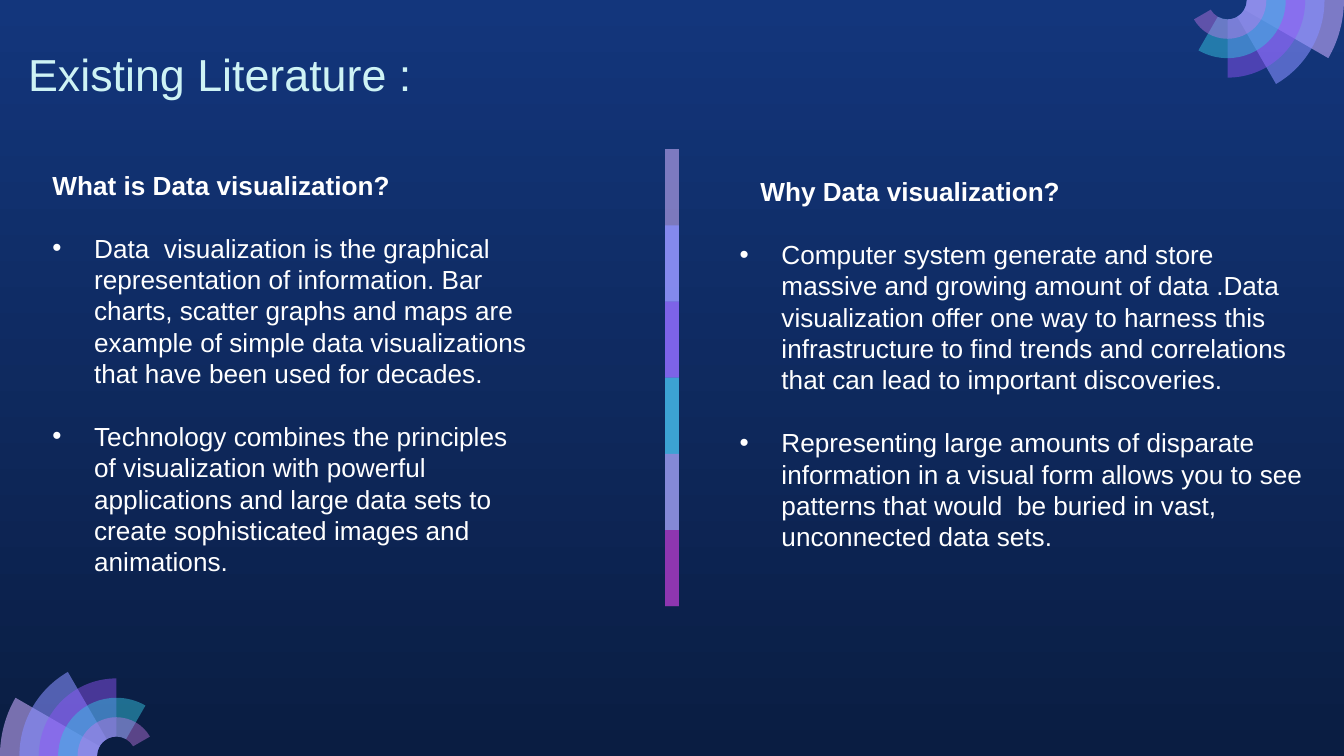
from math import ceil, cos, radians, sin, tan

from lxml.etree import SubElement
from pptx import Presentation
from pptx.dml.color import RGBColor
from pptx.enum.shapes import MSO_SHAPE as Preset
from pptx.enum.text import MSO_ANCHOR as Anchor, PP_ALIGN as Align
from pptx.oxml.ns import qn
from pptx.util import Cm, Pt

COLORS = {
    "sky": "13367C", "night": "0A1D42", "white": "FFFFFF", "ice": "CEF3F5",
    "lilac": "C8AEF8", "mauve": "C8ACFD", "periwinkle": "878FFF",
    "violet": "9154F8", "cyan": "35C2DF", "orchid": "CA7BEB", "purple": "972CB4",
}
FONT = "Arial"
WIDTH, HEIGHT = 25.4, 14.29

# Colour and opacity in percent, top to bottom and outside to inside
DIVIDER = [("lilac", 59), ("periwinkle", 74), ("violet", 53),
           ("cyan", 76), ("orchid", 56), ("purple", 74)]
FAN = [("mauve", 58), ("periwinkle", 58), ("violet", 46), ("cyan", 49), ("orchid", 42)]
FAN_RADIUS = 2.2

WHAT = ("What is Data visualization?", [
    "Data  visualization is the graphical representation of information. Bar charts, "
    "scatter graphs and maps are example of simple data visualizations that have been "
    "used for decades.",
    "Technology combines the principles of visualization with powerful applications and "
    "large data sets to create sophisticated images and animations.",
])
WHY = ("Why Data visualization?", [
    "Computer system generate and store massive and growing amount of data .Data "
    "visualization offer one way to harness this infrastructure to find trends and "
    "correlations that can lead to important discoveries.",
    "Representing large amounts of disparate information in a visual form allows you to "
    "see patterns that would  be buried in vast, unconnected data sets.",
])


def rgb(name):
    return RGBColor.from_string(COLORS[name])


def paint(shape, color, opacity):
    """Give a shape a translucent fill without outline or shadow."""
    shape.shadow.inherit = False
    shape.line.fill.background()
    shape.fill.solid()
    shape.fill.fore_color.rgb = rgb(color)
    tint = shape.fill._xPr.find(qn("a:solidFill"))[0]
    SubElement(tint, qn("a:alpha"), val=str(opacity * 1000))


def write(paragraph, text, size=14, color="white", bold=False, indent=0,
          bullet=False, before=0):
    paragraph.alignment = Align.LEFT
    paragraph.space_before = Pt(before)
    run = paragraph.add_run()
    run.text = text
    run.font.name, run.font.size, run.font.bold = FONT, Pt(size), bold
    run.font.color.rgb = rgb(color)
    props = paragraph._p.get_or_add_pPr()
    props.set("marL", str(Cm(indent)))
    if bullet:
        props.set("indent", str(-Cm(indent)))
        SubElement(props, qn("a:buFont"), typeface=FONT)
        SubElement(props, qn("a:buChar"), char="•")


def set_margins(frame, side, top):
    frame.margin_left = frame.margin_right = Cm(side)
    frame.margin_top = frame.margin_bottom = Cm(top)


def add_background(slide):
    fill = slide.background.fill
    fill.gradient()
    fill.gradient_angle = 270
    for stop, name, position in zip(fill.gradient_stops, ("sky", "night"), (0, 1)):
        stop.color.rgb = rgb(name)
        stop.position = position


def add_title(slide, text):
    title = slide.shapes.title
    title.left, title.top, title.width, title.height = Cm(0.28), Cm(0.37), Cm(8.92), Cm(1.78)
    frame = title.text_frame
    frame.vertical_anchor = Anchor.BOTTOM
    set_margins(frame, 0.25, 0.25)
    write(frame.paragraphs[0], text, size=24, color="ice")


def add_divider(slide, left=12.57, top=2.82, width=0.26, step=1.44):
    """Stack bars two steps tall, each half under the next; the last is one step."""
    for i, (color, opacity) in enumerate(DIVIDER):
        height = step * min(2, len(DIVIDER) - i)
        bar = slide.shapes.add_shape(
            Preset.RECTANGLE, Cm(left), Cm(top + i * step), Cm(width), Cm(height))
        paint(bar, color, opacity)


def arc_points(radius, start, end):
    """Return the first point, then two handles and an end for each curve."""
    def place(angle, pull=0):
        a = radians(angle)
        return (radius * (cos(a) - pull * sin(a)), radius * (sin(a) + pull * cos(a)))

    stops = [start, *range(start + 90, end, 90), end]
    points = [place(start)]
    for a, b in zip(stops, stops[1:]):
        pull = 4 / 3 * tan(radians(b - a) / 4)
        points += [place(a, pull), place(b, -pull), place(b)]
    return points


def bend(lines):
    """Join three line commands into one Bézier curve."""
    curve = lines[0].getparent().makeelement(qn("a:cubicBezTo"), {})
    lines[0].addprevious(curve)
    for line in lines:
        curve.append(line[0])
        line.getparent().remove(line)


def add_sector(slide, center, outer, inner, start, sweep):
    rim = arc_points(outer, start, start + sweep)
    hub = arc_points(inner, start, start + sweep)[::-1]
    points = [(Cm(center[0] + x), Cm(center[1] + y)) for x, y in rim + hub]
    builder = slide.shapes.build_freeform(*points[0], scale=1.0)
    builder.add_line_segments(points[1:], close=True)
    sector = builder.convert_to_shape()

    lines = list(sector._element.iter(qn("a:lnTo")))
    for side in (lines[:len(rim) - 1], lines[len(rim):]):
        for k in range(ceil(sweep / 90)):
            bend(side[3 * k:3 * k + 3])
    return sector


def add_fan(slide, center, start):
    """Draw ring sectors, each one ring smaller and 30 degrees longer."""
    ring = FAN_RADIUS / (len(FAN) + 1)
    for i, (color, opacity) in enumerate(FAN):
        sector = add_sector(slide, center, FAN_RADIUS - i * ring, ring, start, 30 * (i + 1))
        paint(sector, color, opacity)


def add_column(slide, content, left, width, height, top_margin, heading_indent=0):
    heading, points = content
    frame = slide.shapes.add_textbox(Cm(left), Cm(3.07), Cm(width), Cm(height)).text_frame
    frame.word_wrap = True
    set_margins(frame, 0.25, top_margin)
    write(frame.paragraphs[0], heading, bold=True, indent=heading_indent)
    for point in points:
        write(frame.add_paragraph(), point, indent=0.79, bullet=True, before=16.8)


def main():
    deck = Presentation()
    deck.slide_width, deck.slide_height = Cm(WIDTH), Cm(HEIGHT)
    slide = deck.slides.add_slide(deck.slide_layouts[5])

    # Backdrop and ornaments
    add_background(slide)
    add_divider(slide)
    add_fan(slide, (FAN_RADIUS, HEIGHT), start=180)
    add_fan(slide, (WIDTH - FAN_RADIUS, 0), start=0)

    # Text
    add_title(slide, "Existing Literature :")
    add_column(slide, WHAT, left=0.74, width=9.53, height=8.03, top_margin=0.13)
    add_column(slide, WHY, left=13.73, width=11.3, height=7.62, top_margin=0.25,
               heading_indent=0.39)

    deck.save("out.pptx")


if __name__ == "__main__":
    main()
